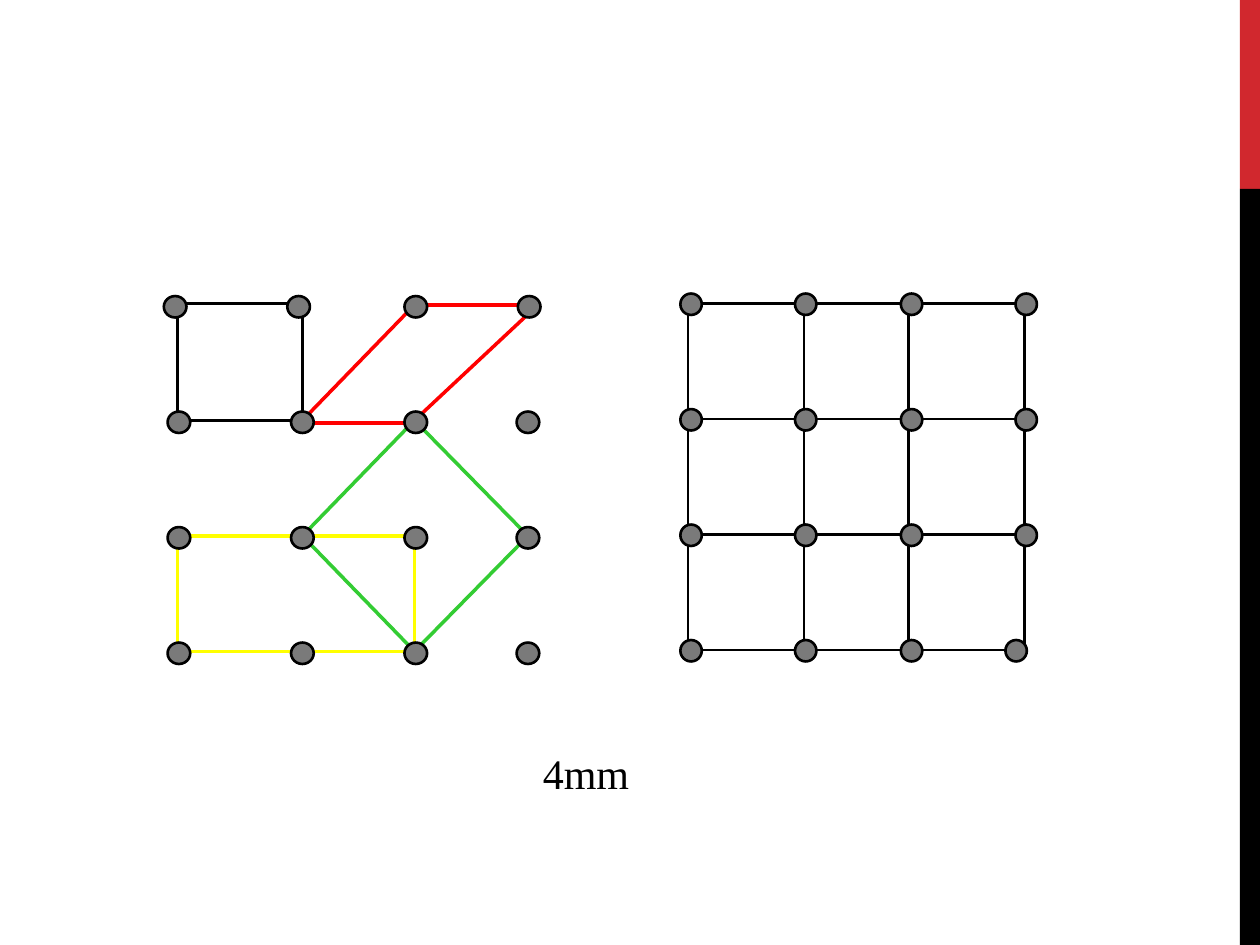
import pptx
import pptx.util
import pptx.dml.color
import pptx.enum.shapes
import pptx.enum.text
import pptx.oxml

Inches = pptx.util.Inches
Pt = pptx.util.Pt
kinds = pptx.enum.shapes.MSO_SHAPE
straight = pptx.enum.shapes.MSO_CONNECTOR.STRAIGHT

deck = pptx.Presentation()
deck.slide_width = Inches(10)
deck.slide_height = Inches(7.5)
slide = deck.slides.add_slide(deck.slide_layouts[6])
shapes = slide.shapes


def paint(part, color):
    part.solid() if hasattr(part, "solid") else part.fill.solid()
    target = part.fore_color if hasattr(part, "fore_color") else part.color
    target.rgb = pptx.dml.color.RGBColor.from_string(color)


def write(text, left, top, width, height, font, size, color):
    box = shapes.add_textbox(Inches(left), Inches(top), Inches(width), Inches(height))
    frame = box.text_frame
    frame.word_wrap = False
    frame.auto_size = pptx.enum.text.MSO_AUTO_SIZE.SHAPE_TO_FIT_TEXT
    run = frame.paragraphs[0].add_run()
    run.text = text
    run.font.name = font
    run.font.size = Pt(size)
    paint(run.font, color)


for top, tall, color in [(0, 1.5, "D1282E"), (1.5, 6, "000000")]:
    bar = shapes.add_shape(kinds.RECTANGLE, Inches(9.84), Inches(top), Inches(0.16), Inches(tall))
    bar.shadow.inherit = False
    paint(bar.fill, color)
    bar.line.fill.background()

write("4mm", left=4.21, top=5.88, width=0.94, height=0.5,
      font="Times New Roman", size=24, color="000000")

step = 2.75 / 3
black, red, green, yellow = "000000", "FF0000", "33CC33", "FFFF00"

mesh = [5.46, 6.38, 7.21, 8.13]
rows = [2.41 + step * row for row in range(4)]
net = [(mesh[0], y, mesh[3], y, black) for y in rows]
net += [(x, rows[0], x, rows[3], black) for x in mesh]

cols = [1.41, 2.4, 3.29, 4.19, 4.27]
edges = [
    (green, 2, 1, 1, 2, 0, 0), (green, 1, 2, 2, 3, 0, 0),
    (green, 2, 1, 3, 2, 0, 0), (green, 3, 2, 2, 3, 0, 0),
    (black, 0, 0, 0, 1, 0, 0), (black, 0, 1, 1, 1, 0, 0),
    (black, 1, 0, 1, 1, 0, 0), (red, 2, 0, 1, 1, 0, 0),
    (red, 1, 1, 2, 1, 0, 0.02), (red, 4, 0, 2, 1, 0, 0),
    (yellow, 0, 2, 0, 3, 0, 0), (yellow, 2, 2, 2, 3, 0, 0),
    (red, 2, 0, 4, 0, -0.03, 0), (yellow, 0, 2, 2, 2, -0.03, 0),
    (yellow, 0, 3, 2, 3, -0.03, 0), (black, 0, 0, 1, 0, -0.01, -0.01),
]
paths = [(cols[a] + dx, 2.42 + step * b + dy, cols[c] + dx, 2.42 + step * d + dy, color)
         for color, a, b, c, d, dx, dy in edges]

right = [[5.4, 6.31, 7.15, 8.06]] * 3 + [[5.4, 6.31, 7.15, 7.98]]
left = [[1.3, 2.28, 3.21, 4.11]] + [[1.33, 2.31, 3.21, 4.1]] * 3

for lines, weight, grid, top, width in [(net, 1.5, right, 2.33, 0.17), (paths, 2, left, 2.35, 0.18)]:
    group = shapes.add_group_shape().shapes
    for x1, y1, x2, y2, color in lines:
        edge = group.add_connector(straight, Inches(x1), Inches(y1), Inches(x2), Inches(y2))
        paint(edge.line, color)
        edge.line.width = Pt(weight)
        edge._element.spPr.append(pptx.oxml.parse_xml(
            '<a:effectLst xmlns:a="http://schemas.openxmlformats.org/drawingml/2006/main"/>'))
    group = shapes.add_group_shape().shapes
    for row, places in enumerate(grid):
        for x in places:
            dot = group.add_shape(kinds.OVAL, Inches(x), Inches(top + step * row),
                                  Inches(width), Inches(0.17))
            dot.shadow.inherit = False
            paint(dot.fill, "7A7A7A")
            paint(dot.line, black)
            dot.line.width = Pt(1.5)

deck.save("out.pptx")
